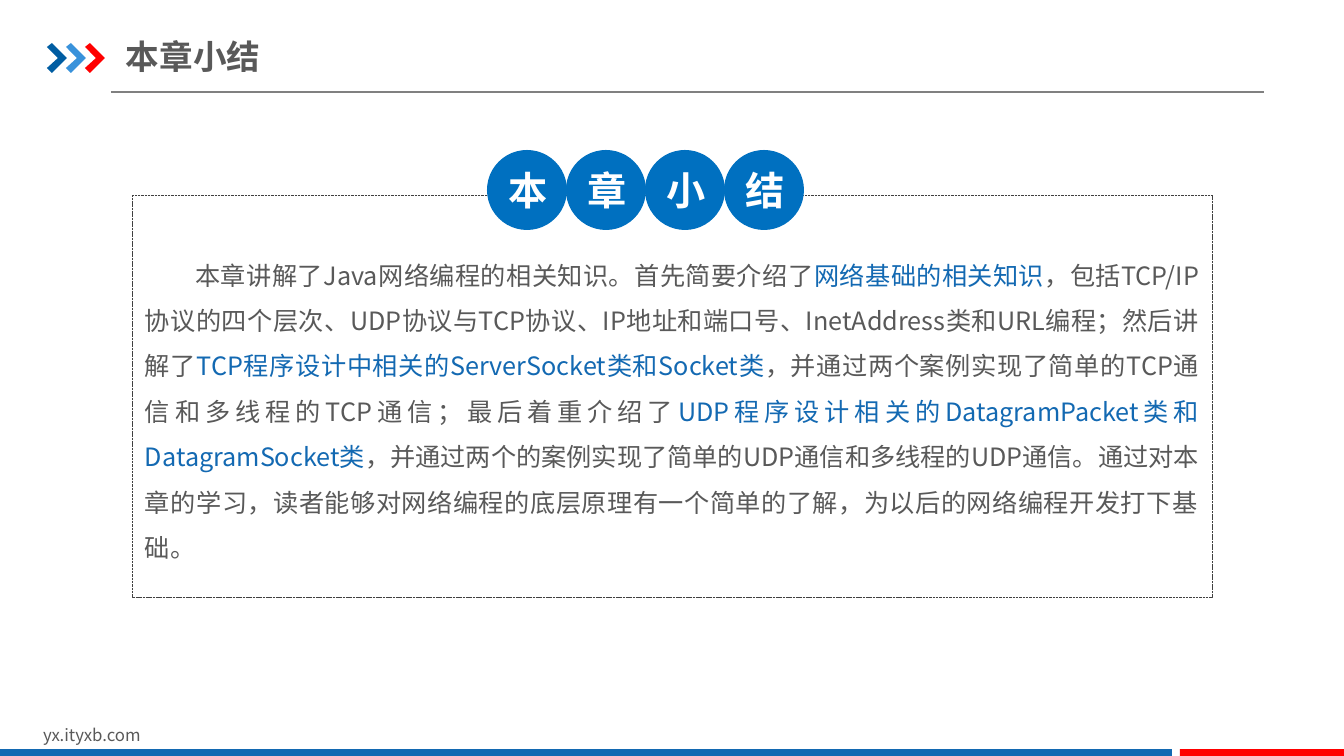
"""Build the chapter summary slide on Java network programming."""
from dataclasses import dataclass

from lxml import etree
from pptx import Presentation
from pptx.dml.color import RGBColor
from pptx.enum import dml, shapes, text
from pptx.oxml.ns import qn
from pptx.util import Emu, Inches, Pt

PX = Inches(1) / 100.8
FONT = "Noto Sans CJK SC"
GREY = RGBColor(0x59, 0x59, 0x59)
RULE_GREY = RGBColor(0x80, 0x80, 0x80)
FRAME_GREY = RGBColor(0x40, 0x40, 0x40)
WHITE = RGBColor(0xFF, 0xFF, 0xFF)
NAVY = RGBColor(0x00, 0x5D, 0xA2)
SKY = RGBColor(0x39, 0x92, 0xDB)
RED = RGBColor(0xFF, 0x00, 0x00)
BLUE = RGBColor(0x13, 0x69, 0xB2)
BADGE_BLUE = RGBColor(0x00, 0x70, 0xC0)

CHEVRON = [(0, 4), (5, 0), (20, 15), (5, 30), (0, 25), (11, 15)]
CHEVRON_TOP = 43
BADGE_LEFT, BADGE_TOP, BADGE_SIZE, BADGE_PITCH = 487, 150, 80, 79


@dataclass(frozen=True)
class Box:
    left: int
    top: int
    width: int
    height: int

    def emu(self) -> list[Emu]:
        return [px(n) for n in (self.left, self.top, self.width, self.height)]


@dataclass(frozen=True)
class Chevron:
    left: int
    color: RGBColor


@dataclass(frozen=True)
class Bar:
    box: Box
    color: RGBColor


@dataclass(frozen=True)
class Phrase:
    words: str
    color: RGBColor = GREY


CHEVRONS = [Chevron(47, NAVY), Chevron(66, SKY), Chevron(85, RED)]
BARS = [Bar(Box(0, 749, 1172, 9), BLUE), Bar(Box(1180, 749, 164, 9), RED)]
SUMMARY = [
    Phrase("本章讲解了Java网络编程的相关知识。首先简要介绍了"),
    Phrase("网络基础的相关知识", BLUE),
    Phrase("，包括TCP/IP协议的四个层次、UDP协议与TCP协议、IP地址和端口号、"
           "InetAddress类和URL编程；然后讲解了"),
    Phrase("TCP程序设计中相关的ServerSocket类和Socket类", BLUE),
    Phrase("，并通过两个案例实现了简单的TCP通信和多线程的TCP通信；最后着重介绍了"),
    Phrase("UDP程序设计相关的DatagramPacket类和DatagramSocket类", BLUE),
    Phrase("，并通过两个的案例实现了简单的UDP通信和多线程的UDP通信。通过对本章的学习，"
           "读者能够对网络编程的底层原理有一个简单的了解，为以后的网络编程开发打下基础。"),
]


def px(count: int) -> Emu:
    return Emu(round(count * PX))


def style_run(run, size: int, color: RGBColor, bold: bool = False) -> None:
    run.font.size = Pt(size)
    run.font.bold = bold
    run.font.color.rgb = color
    run.font.name = FONT
    etree.SubElement(run.font._element, qn("a:ea"), typeface=FONT)


def add_filled(slide, kind, box: Box, color: RGBColor):
    shape = slide.shapes.add_shape(kind, *box.emu())
    shape.shadow.inherit = False
    shape.fill.solid()
    shape.fill.fore_color.rgb = color
    shape.line.fill.background()
    return shape


def add_text_frame(slide, box: Box, side: int, edge: int):
    frame = slide.shapes.add_textbox(*box.emu()).text_frame
    frame.word_wrap = True
    frame.margin_left = frame.margin_right = px(side)
    frame.margin_top = frame.margin_bottom = px(edge)
    return frame


def add_chevron(slide, chevron: Chevron) -> None:
    points = [(chevron.left + x, CHEVRON_TOP + y) for x, y in CHEVRON]
    builder = slide.shapes.build_freeform(*points[0], scale=PX)
    builder.add_line_segments(points[1:], close=True)
    shape = builder.convert_to_shape()
    shape.shadow.inherit = False
    shape.fill.solid()
    shape.fill.fore_color.rgb = chevron.color
    shape.line.fill.background()


def add_header(slide) -> None:
    rule = slide.shapes.add_connector(
        shapes.MSO_CONNECTOR.STRAIGHT, px(111), px(92), px(1264), px(92))
    rule.line.color.rgb = RULE_GREY
    rule.line.width = Pt(0.75)
    etree.SubElement(rule._element.spPr, qn("a:effectLst"))
    for chevron in CHEVRONS:
        add_chevron(slide, chevron)
    title = add_text_frame(slide, Box(126, 29, 625, 55), 0, 7)
    title.vertical_anchor = text.MSO_ANCHOR.MIDDLE
    title.text = "本章小结"
    style_run(title.paragraphs[0].runs[0], 24, GREY, bold=True)


def add_footer(slide) -> None:
    site = add_text_frame(slide, Box(33, 720, 321, 30), 10, 5)
    site.text = "yx.ityxb.com"
    style_run(site.paragraphs[0].runs[0], 12, GREY)
    for bar in BARS:
        add_filled(slide, shapes.MSO_SHAPE.RECTANGLE, bar.box, bar.color)


def add_summary(slide) -> None:
    frame = add_text_frame(slide, Box(132, 238, 1080, 334), 13, 7)
    frame.auto_size = text.MSO_AUTO_SIZE.SHAPE_TO_FIT_TEXT
    paragraph = frame.paragraphs[0]
    paragraph.alignment = text.PP_ALIGN.JUSTIFY
    paragraph.line_spacing = 1.5
    properties = paragraph._p.get_or_add_pPr()
    properties.set("marL", "0")
    properties.set("indent", str(Inches(0.5)))
    for phrase in SUMMARY:
        run = paragraph.add_run()
        run.text = phrase.words
        style_run(run, 18, phrase.color)

    border = slide.shapes.add_shape(
        shapes.MSO_SHAPE.ROUNDED_RECTANGLE, *Box(132, 195, 1080, 402).emu())
    border.adjustments[0] = 0
    border.shadow.inherit = False
    border.fill.background()
    border.line.color.rgb = FRAME_GREY
    border.line.width = Pt(0.25)
    border.line.dash_style = dml.MSO_LINE.SQUARE_DOT
    border.line._ln.find(qn("a:prstDash")).set("val", "sysDash")


def add_badge(slide, position: int, character: str) -> None:
    box = Box(BADGE_LEFT + position * BADGE_PITCH, BADGE_TOP, BADGE_SIZE, BADGE_SIZE)
    badge = add_filled(slide, shapes.MSO_SHAPE.OVAL, box, BADGE_BLUE)
    frame = badge.text_frame
    frame.vertical_anchor = text.MSO_ANCHOR.MIDDLE
    frame.text = character
    frame.paragraphs[0].alignment = text.PP_ALIGN.CENTER
    style_run(frame.paragraphs[0].runs[0], 28, WHITE, bold=True)


def main() -> None:
    deck = Presentation()
    deck.slide_width, deck.slide_height = px(1344), px(756)
    slide = deck.slides.add_slide(deck.slide_layouts[6])
    add_header(slide)
    add_footer(slide)
    add_summary(slide)
    for position, character in enumerate("本章小结"):
        add_badge(slide, position, character)
    deck.save("out.pptx")


if __name__ == "__main__":
    main()
